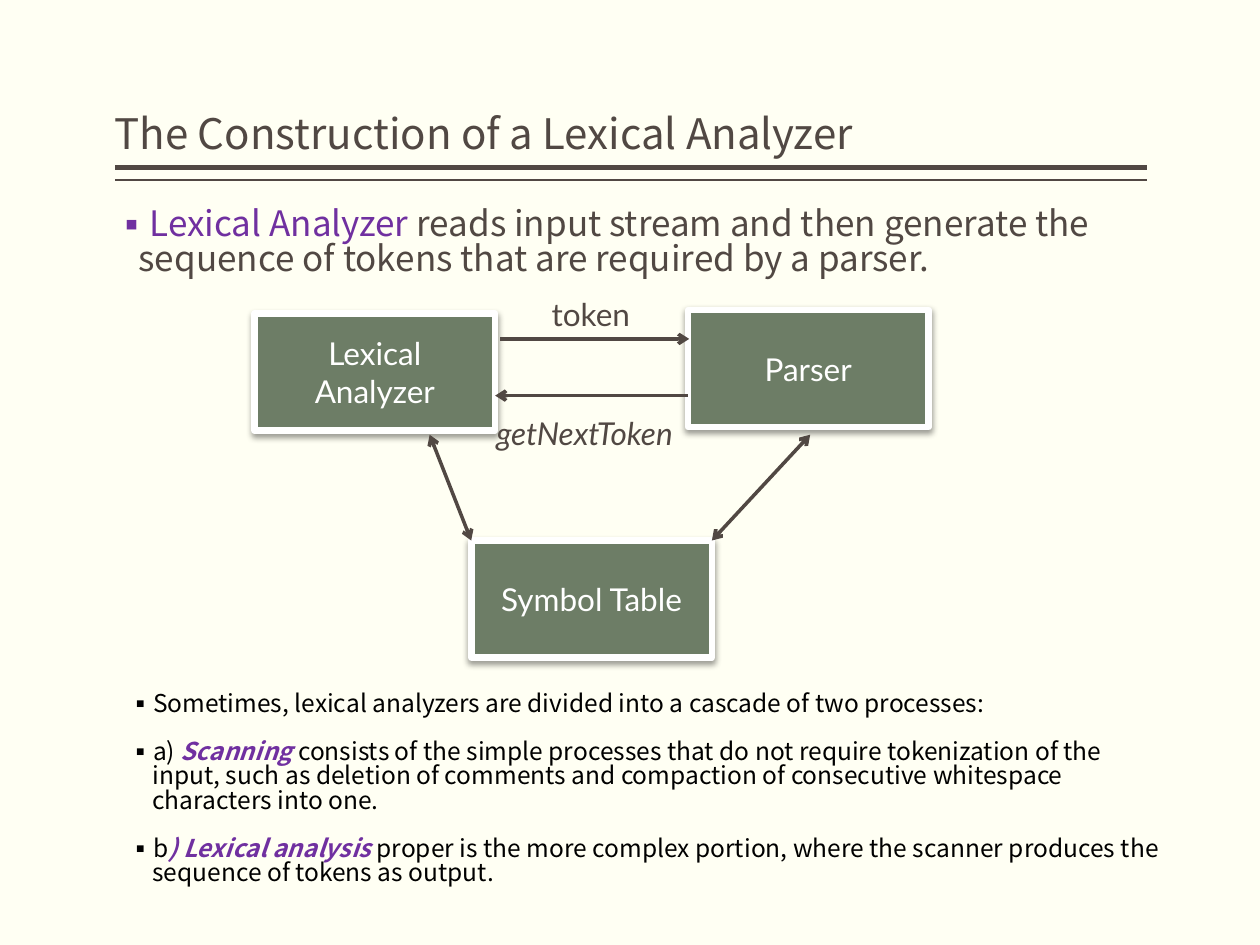
from dataclasses import dataclass

from lxml.etree import SubElement
from pptx import Presentation
from pptx.dml.color import RGBColor
from pptx.enum.shapes import MSO_CONNECTOR as Connector, MSO_SHAPE as Preset
from pptx.enum.text import MSO_ANCHOR as Anchor, MSO_AUTO_SIZE as AutoSize, PP_ALIGN as Align
from pptx.oxml.ns import qn
from pptx.util import Inches, Pt

CREAM = RGBColor(0xFF, 0xFF, 0xF3)
BROWN = RGBColor(0x51, 0x48, 0x43)
GREEN = RGBColor(0x6D, 0x7D, 0x66)
PURPLE = RGBColor(0x70, 0x30, 0xA0)
WHITE = RGBColor(0xFF, 0xFF, 0xFF)
BLACK = RGBColor(0, 0, 0)
TEXT_FONT, DIAGRAM_FONT = "Noto Sans CJK SC", "Lato"

SLIDE_W, SLIDE_H = Inches(10), Inches(7.5)
CELL = SLIDE_W / 100  # the slide is a grid of 100 columns and 75 rows
NODE_W, NODE_H = 19.1, 9.3
NODE_PITCH = 34.4


@dataclass
class Box:
    """A region of the slide, measured in grid cells."""
    left: float
    top: float
    width: float
    height: float

    def inner(self, col, row, width, height):
        return Box(self.left + col, self.top + row, width, height)

    def point(self, col, row):
        return cells(self.left + col, self.top + row)

    def frame(self):
        return cells(self.left, self.top, self.width, self.height)


def cells(*counts):
    return [round(count * CELL) for count in counts]


def style_run(run, size, color, font=TEXT_FONT, bold=False, italic=False):
    run.font.name, run.font.size = font, Pt(size)
    run.font.color.rgb = color
    run.font.bold, run.font.italic = bold, italic


def add_line(slide, start, end, weight, head=False, tail=False):
    line = slide.shapes.add_connector(Connector.STRAIGHT, *start, *end)
    line.line.color.rgb, line.line.width = BROWN, Pt(weight)
    outline = line.line._get_or_add_ln()
    for tag, shown in (("a:headEnd", head), ("a:tailEnd", tail)):
        if shown:
            SubElement(outline, qn(tag), type="arrow")
    SubElement(line._element.spPr, qn("a:effectLst"))


def add_title(slide, box, text):
    """Title with a thick and a thin rule under it."""
    title = slide.shapes.title
    title.left, title.top, title.width, title.height = box.frame()
    frame = title.text_frame
    frame.text = text
    frame.auto_size, frame.vertical_anchor = AutoSize.NONE, Anchor.BOTTOM
    frame.margin_left = frame.margin_right = 0
    frame.margin_top, frame.margin_bottom = Inches(0.05), Inches(0.02)
    paragraph = frame.paragraphs[0]
    paragraph.alignment, paragraph.line_spacing = Align.LEFT, 0.9
    style_run(paragraph.runs[0], 24, BROWN)
    for row, weight in ((12.5, 3), (13.5, 1)):
        add_line(slide, box.point(box.width, row), box.point(0, row), weight)


def add_bullets(slide, box, items, size, color):
    """Bulleted paragraphs; each item is a list of (text, run style) pairs."""
    frame = slide.shapes.add_textbox(*box.frame()).text_frame
    frame.word_wrap = True
    frame.margin_left = frame.margin_right = 0
    frame.margin_top = Inches(0.08)
    for index, item in enumerate(items):
        paragraph = frame.add_paragraph() if index else frame.paragraphs[0]
        paragraph.line_spacing = 0.83
        paragraph.space_before = Pt(13.5 if index else 0)
        properties = paragraph._p.get_or_add_pPr()
        properties.set("marL", str(Inches(0.19)))
        properties.set("indent", str(-Inches(0.19)))
        SubElement(properties, qn("a:buFont"), typeface=TEXT_FONT)
        SubElement(properties, qn("a:buChar"), char="▪")
        for text, style in item:
            run = paragraph.add_run()
            run.text = text
            style_run(run, size, **{"color": color, **style})


def add_node(slide, box, name):
    node = slide.shapes.add_shape(Preset.RECTANGLE, *box.frame())
    node.fill.solid()
    node.fill.fore_color.rgb = GREEN
    node.line.color.rgb, node.line.width = WHITE, Pt(3.82)
    node.shadow.inherit = False
    effects = node._element.spPr.find(qn("a:effectLst"))
    shadow = SubElement(effects, qn("a:outerShdw"), blurRad=str(Pt(3.5)), dist=str(Pt(2)),
                        dir="5400000", rotWithShape="0")
    shade = SubElement(shadow, qn("a:srgbClr"), val=str(BLACK))
    SubElement(shade, qn("a:alpha"), val="38000")
    frame = node.text_frame
    frame.text = name
    frame.word_wrap, frame.vertical_anchor = True, Anchor.MIDDLE
    frame.paragraphs[0].alignment = Align.CENTER
    style_run(frame.paragraphs[0].runs[0], 18, WHITE, DIAGRAM_FONT)


def add_label(slide, box, text, italic=False):
    frame = slide.shapes.add_textbox(*box.frame()).text_frame
    frame.text = text
    frame.word_wrap, frame.auto_size = False, AutoSize.SHAPE_TO_FIT_TEXT
    style_run(frame.paragraphs[0].runs[0], 18, BROWN, DIAGRAM_FONT, italic=italic)


def add_diagram(slide, box):
    """Analyzer and parser side by side, with the symbol table centred below."""
    table_left, table_top = NODE_PITCH / 2, 20
    nodes = (("Lexical Analyzer", 0, 2), ("Parser", NODE_PITCH, 1.7),
             ("Symbol Table", table_left, table_top))
    for name, col, row in nodes:
        add_node(slide, box.inner(col, row, NODE_W, NODE_H), name)

    add_line(slide, box.point(19.5, 4), box.point(34.5, 4), 2, tail=True)
    add_line(slide, box.point(NODE_PITCH, 8.5), box.point(NODE_W, 8.5), 2, tail=True)
    for corner, upper_end in ((table_left, 13.9), (table_left + NODE_W, 44.1)):
        add_line(slide, box.point(corner, table_top), box.point(upper_end, 11.6), 2,
                 head=True, tail=True)

    add_label(slide, box.inner(22.6, 0, 8.3, 4), "token")
    add_label(slide, box.inner(18.2, 9.5, 17.2, 4), "getNextToken", italic=True)


def main():
    deck = Presentation()
    deck.slide_width, deck.slide_height = SLIDE_W, SLIDE_H
    slide = deck.slides.add_slide(deck.slide_layouts[5])
    slide.background.fill.solid()
    slide.background.fill.fore_color.rgb = CREAM

    term = {"color": PURPLE}
    process = {"color": PURPLE, "bold": True, "italic": True}
    summary = [[
        ("Lexical Analyzer ", term),
        ("reads input stream and then generate the sequence of tokens "
         "that are required by a parser.", {}),
    ]]
    processes = [
        [("Sometimes, lexical analyzers are divided into a cascade of two processes:", {})],
        [("a) ", {}), ("Scanning", process),
         (" consists of the simple processes that do not require tokenization of the input, "
          "such as deletion of comments and compaction of consecutive whitespace characters "
          "into one.", {})],
        [("b", {}), (") Lexical analysis ", process),
         ("proper is the more complex portion, where the scanner produces the sequence of "
          "tokens as output.", {})],
    ]
    add_title(slide, Box(9.1, 0.8, 81.9, 12), "The Construction of a Lexical Analyzer")
    add_bullets(slide, Box(9.1, 15.8, 81.9, 39.3), summary, 20, BROWN)
    add_diagram(slide, Box(20.2, 22.9, 53.5, 29.3))
    add_bullets(slide, Box(10.2, 54.2, 81.9, 20.8), processes, 14, BLACK)
    deck.save("out.pptx")


if __name__ == "__main__":
    main()
